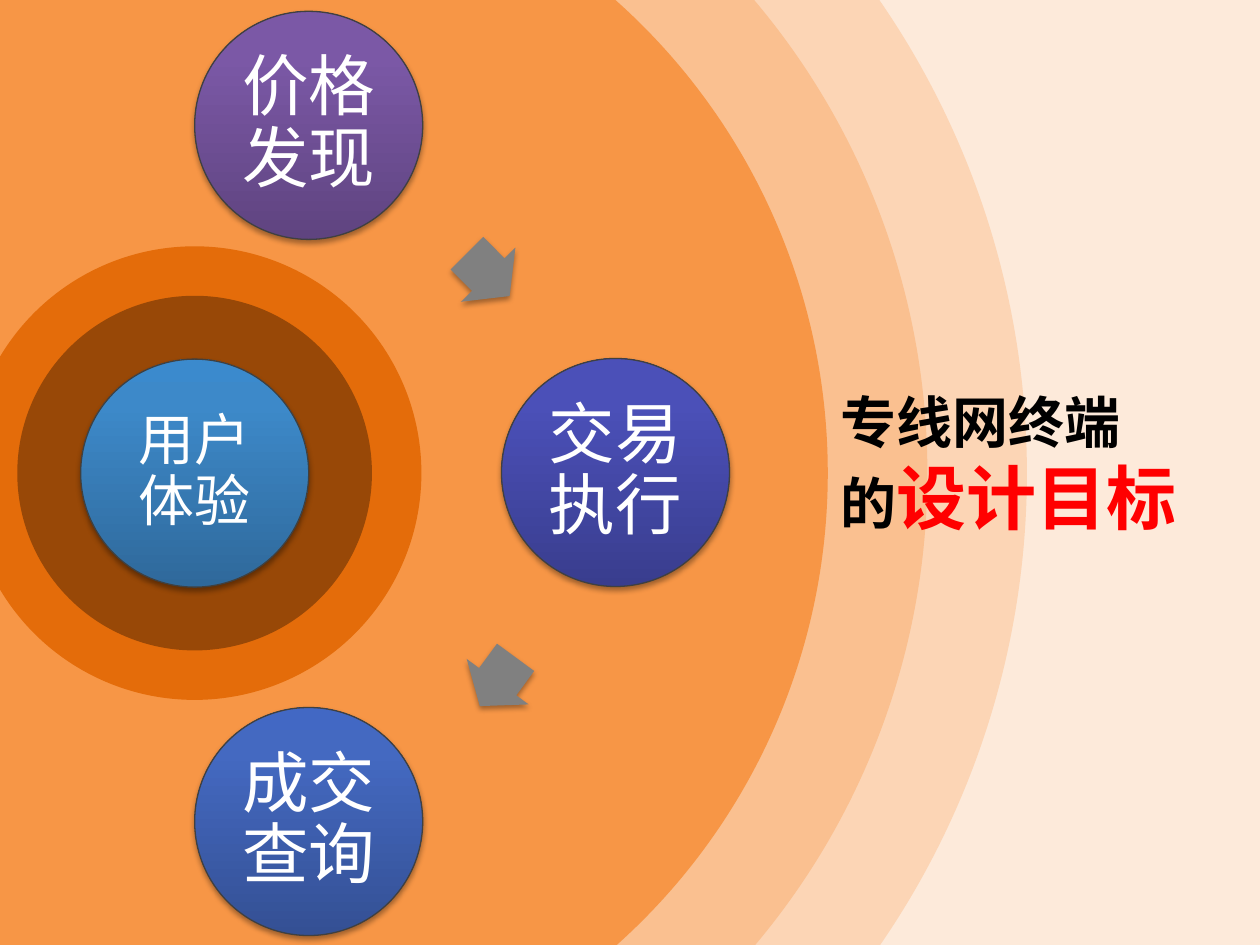
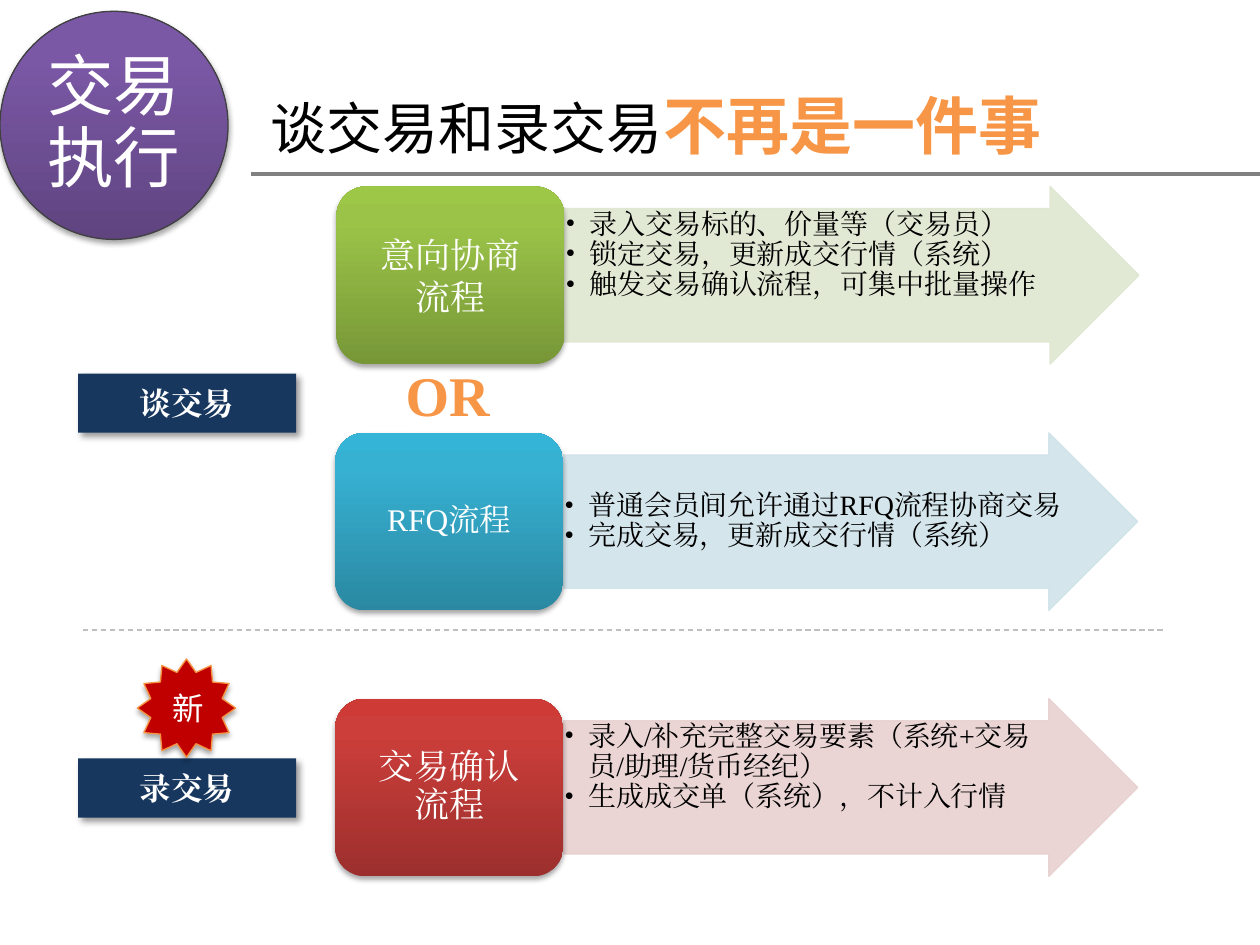
"""Build two slides on the design goals of a trading terminal."""
import math
from dataclasses import dataclass
from typing import NamedTuple, Optional, Sequence, Union

from lxml import etree
from pptx import Presentation
from pptx import util as u
from pptx.dml.color import RGBColor
from pptx.enum import dml, shapes, text
from pptx.oxml.ns import qn

COLS, ROWS = 100, 75
BLEED = 2.6
CELL = u.Inches(0.1)
SHAPE = shapes.MSO_SHAPE
CENTER, LEFT = text.PP_ALIGN.CENTER, text.PP_ALIGN.LEFT
MIDDLE, TOP = text.MSO_ANCHOR.MIDDLE, text.MSO_ANCHOR.TOP


@dataclass(frozen=True)
class Theme:
    """Colours, fonts and type sizes of the deck."""
    sans: str = "Noto Sans CJK SC"
    serif: str = "Times New Roman"
    black: str = "000000"
    white: str = "FFFFFF"
    grey: str = "808080"
    pale_grey: str = "BFBFBF"
    outline: str = "404040"
    orange: str = "F79646"
    red: str = "FF0000"
    navy: str = "17375E"
    badge: str = "C00000"
    badge_line: str = "F69240"
    backdrop: str = "FDEADA"
    bands: tuple = ("FCD5B5", "FAC090", "F79646")
    rings: tuple = ("E46C0A", "984807")
    purple: tuple = ("5F4480", "7B58A6", "7C57A8")
    indigo: tuple = ("393D8E", "4B50B8", "494EBB")
    royal: tuple = ("345094", "4469C1", "4268C4")
    blue: tuple = ("2F699B", "3D89C9", "3B8ACD")
    green: tuple = ("779737", "9BC348", "9DC746")
    teal: tuple = ("2A88A2", "37B1D2", "34B4D6")
    crimson: tuple = ("9C2F2D", "CB3E3A", "CE3B37")
    goal: int = 40
    disc: int = 38
    strong: int = 36
    title: int = 32
    step: int = 20
    label: int = 18
    body: int = 16


T = Theme()


class Box(NamedTuple):
    """A place on the grid, in columns and rows."""
    col: float
    row: float
    cols: float
    rows: float

    def emu(self) -> list:
        """Return the four lengths in slide units."""
        return [u.Emu(round(v * CELL)) for v in self]


class Shadow(NamedTuple):
    """An outer shadow: opacity in percent, lengths in points, degrees."""
    opacity: int
    blur: float
    distance: float
    angle: int


class Run(NamedTuple):
    """A stretch of text whose format may differ from its paragraph."""
    text: str
    size: Optional[int] = None
    color: Optional[str] = None
    bold: Optional[bool] = None


class Disc(NamedTuple):
    """A round gradient button centred on a grid point."""
    text: str
    col: float
    row: float
    grad: tuple
    size: int = T.disc


class Process(NamedTuple):
    """A process card with an arrow of bullet points."""
    name: Sequence[str]
    points: Sequence[str]
    col: float
    row: float
    grad: tuple
    tint: str
    size: int = T.step
    spacing: float = 0.9
    anchor: text.MSO_ANCHOR = TOP


SOFT = Shadow(35, 3.1, 1.8, 90)
CAST = Shadow(40, 4, 3, 45)
Line = Union[str, Sequence[Run]]


def rgb(color: str) -> RGBColor:
    """Turn a hex string into a colour."""
    return RGBColor.from_string(color)


def center_box(col: float, row: float, cols: float, rows: float) -> Box:
    """Return the box of a given size around a point."""
    return Box(col - cols / 2, row - rows / 2, cols, rows)


def add_text(sp, lines: Sequence[Line], *, size: int, color: str = T.white,
             font: str = T.sans, bold: bool = False, align=CENTER, anchor=MIDDLE,
             inset: tuple = (1, 0.5), spacing: Optional[float] = None,
             bullet: str = "", wrap: bool = True) -> None:
    """Write formatted paragraphs into a shape."""
    tf = sp.text_frame
    tf.auto_size, tf.word_wrap, tf.vertical_anchor = text.MSO_AUTO_SIZE.NONE, wrap, anchor
    tf.margin_left = tf.margin_right = u.Emu(round(inset[0] * CELL))
    tf.margin_top = tf.margin_bottom = u.Emu(round(inset[1] * CELL))
    for i, line in enumerate(lines):
        p = tf.paragraphs[0] if i == 0 else tf.add_paragraph()
        p.alignment = align
        if spacing:
            p.line_spacing = spacing
        if bullet:
            ppr = p._p.get_or_add_pPr()
            indent = u.Inches(0.19)
            ppr.set("marL", str(indent))
            ppr.set("indent", str(-indent))
            etree.SubElement(ppr, qn("a:buFont"), typeface=font)
            etree.SubElement(ppr, qn("a:buChar"), char=bullet)
        for run in [Run(line)] if isinstance(line, str) else line:
            r = p.add_run()
            r.text = run.text
            r.font.size = u.Pt(run.size or size)
            r.font.bold = bold if run.bold is None else run.bold
            r.font.color.rgb = rgb(run.color or color)
            r.font.name = font
            etree.SubElement(r._r.get_or_add_rPr(), qn("a:ea"), typeface=font)


def style(sp, fill: Union[str, tuple], line: str = "",
          shadow: Optional[Shadow] = None, opacity: int = 100) -> None:
    """Set the fill, outline and shadow of a shape."""
    if isinstance(fill, str):
        sp.fill.solid()
        sp.fill.fore_color.rgb = rgb(fill)
    else:
        sp.fill.gradient()
        sp.fill.gradient_angle = 90
        stops = sp.element.spPr.find(qn("a:gradFill")).find(qn("a:gsLst"))
        stops[:] = []
        for pos, color in zip((0, 80, 100), fill):
            gs = etree.SubElement(stops, qn("a:gs"), pos=str(pos * 1000))
            etree.SubElement(gs, qn("a:srgbClr"), val=color)
    if line:
        sp.line.color.rgb = rgb(line)
        sp.line.width = u.Pt(0.75)
    else:
        sp.line.fill.background()
    if opacity < 100:
        for clr in sp.element.spPr.iter(qn("a:srgbClr")):
            etree.SubElement(clr, qn("a:alpha"), val=str(opacity * 1000))
    sp.shadow.inherit = False
    if shadow:
        effects = sp.element.spPr.find(qn("a:effectLst"))
        outer = etree.SubElement(
            effects, qn("a:outerShdw"), blurRad=str(u.Pt(shadow.blur)),
            dist=str(u.Pt(shadow.distance)), dir=str(shadow.angle * 60000), rotWithShape="0")
        clr = etree.SubElement(outer, qn("a:srgbClr"), val=T.black)
        etree.SubElement(clr, qn("a:alpha"), val=str(shadow.opacity * 1000))


def add_shape(s, kind, box: Box, fill: Union[str, tuple], adj: Sequence[float] = (),
              rotation: float = 0, **look):
    """Add a styled preset shape."""
    sp = s.shapes.add_shape(kind, *box.emu())
    for i, value in enumerate(adj):
        sp.adjustments[i] = value
    sp.rotation = rotation
    style(sp, fill, **look)
    return sp


def add_textbox(s, box: Box, lines: Sequence[Line], **fmt) -> None:
    """Add a text box."""
    add_text(s.shapes.add_textbox(*box.emu()), lines, **fmt)


def add_title(s, box: Box, lines: Sequence[Line], **fmt) -> None:
    """Fill the title placeholder and bring it to the front."""
    sp = s.shapes.title
    sp.left, sp.top, sp.width, sp.height = box.emu()
    add_text(sp, lines, size=T.title, color=T.black, align=LEFT, anchor=TOP, **fmt)
    sp.element.getparent().append(sp.element)


def add_rule(s, start: float, end: float, row: float, color: str, width: float,
             dash: Optional[dml.MSO_LINE] = None) -> None:
    """Draw a horizontal line between two columns."""
    x1, y, x2, _ = Box(start, row, end, 0).emu()
    sp = s.shapes.add_connector(shapes.MSO_CONNECTOR.STRAIGHT, x1, y, x2, y)
    sp.line.color.rgb, sp.line.width = rgb(color), u.Pt(width)
    if dash:
        sp.line.dash_style = dash
    etree.SubElement(sp.element.spPr, qn("a:effectLst"))


def curve_points(col: float, row: float, radius: float, start: float, end: float) -> list:
    """Return two control points and the end point of a circular arc."""
    k = 4 / 3 * math.tan((end - start) / 4)

    def at(angle: float, pull: float) -> tuple:
        """Return a point on the circle, moved along its tangent."""
        return (col + radius * (math.cos(angle) - pull * math.sin(angle)),
                row + radius * (math.sin(angle) + pull * math.cos(angle)))
    return [at(start, k), at(end, -k), at(end, 0)]


def add_band(s, col: float, row: float, radius: float, fill: str) -> None:
    """Draw the part of a large circle that lies on the slide."""
    first, last = (math.asin((edge - row) / radius) for edge in (0, ROWS))
    points = [(col + radius * math.cos(first), 0),
              *curve_points(col, row, radius, first, 0),
              *curve_points(col, row, radius, 0, last), (-BLEED, ROWS)]
    fb = s.shapes.build_freeform(round(-BLEED * CELL), 0)
    fb.add_line_segments([(round(x * CELL), round(y * CELL)) for x, y in points])
    sp = fb.convert_to_shape()
    segments = list(sp.element.spPr.iter(qn("a:lnTo")))
    for i in (1, 4):
        curve = etree.Element(qn("a:cubicBezTo"))
        segments[i].addprevious(curve)
        for segment in segments[i:i + 3]:
            curve.append(segment[0])
            segment.getparent().remove(segment)
    style(sp, fill)


def add_disc(s, disc: Disc) -> None:
    """Draw a round button with its label."""
    sp = add_shape(s, SHAPE.OVAL, center_box(disc.col, disc.row, 18.1, 18.1), disc.grad,
                   line=T.outline, shadow=SOFT)
    add_text(sp, [disc.text], size=disc.size, inset=(0.5, 0.5), spacing=0.9)


def add_process(s, pr: Process) -> None:
    """Draw a process card and its arrow of points."""
    width, height = 18.1, 14.1
    tail = pr.col + width
    add_shape(s, SHAPE.RIGHT_ARROW, Box(tail, pr.row, 45.6, height), pr.tint,
              adj=(0.75, 0.5), line=pr.tint, opacity=90)
    add_textbox(s, Box(tail, pr.row + height / 8, 40.4, height * 0.75), pr.points,
                size=T.body, color=T.black, font=T.serif, align=LEFT, anchor=pr.anchor,
                inset=(0.1, 0.1), spacing=0.9, bullet="•")
    card = add_shape(s, SHAPE.ROUNDED_RECTANGLE, Box(pr.col, pr.row, width, height), pr.grad,
                     shadow=SOFT)
    add_text(card, pr.name, size=pr.size, font=T.serif, inset=(0.8, 0.4), spacing=pr.spacing)


def build_goals(s) -> None:
    """Build the slide of design goals."""
    col, row = 15.45, 37.55
    add_shape(s, SHAPE.RECTANGLE, Box(-BLEED, 0, COLS + BLEED, ROWS), T.backdrop)
    for i, fill in enumerate(T.bands):
        add_band(s, col, row, 66.05 - 7.9 * i, fill)
    for size, fill in zip((36, 28.15), T.rings):
        add_shape(s, SHAPE.OVAL, center_box(col, row, size, size), fill)
    for disc in (Disc("价格发现", 24.5, 9.95, T.purple),
                 Disc("交易执行", 48.85, 37.5, T.indigo),
                 Disc("成交查询", 24.5, 65.2, T.royal),
                 Disc("用户体验", col, row, T.blue, T.title)):
        add_disc(s, disc)
    for x, y, angle in ((38.75, 21.8, 45.1), (39.5, 54.1, 126.3)):
        add_shape(s, SHAPE.RIGHT_ARROW, center_box(x, y, 4.8, 6.1), T.grey,
                  adj=(0.6, 0.5), rotation=angle, shadow=SOFT)
    add_title(s, Box(65.7, 30.25, 34.3, 13.1),
              ["专线网终端", [Run("的"), Run("设计目标", T.goal, T.red)]], bold=True)


def build_execution(s) -> None:
    """Build the slide on trade execution."""
    add_disc(s, Disc("交易执行", 9.05, 9.95, T.purple))
    add_title(s, Box(20.5, 6.35, 79.1, 7.1),
              [[Run("谈交易和录交易"), Run("不再是一件事", T.strong, T.orange, True)]])
    add_rule(s, COLS, 19.9, 13.8, T.grey, 2)
    add_rule(s, 6.6, 92.5, 50, T.pale_grey, 0.75, dml.MSO_LINE.DASH)
    for label, row in (("谈交易", 29.65), ("录交易", 60.2)):
        sp = add_shape(s, SHAPE.RECTANGLE, Box(6.2, row, 17.3, 4.7), T.navy, shadow=CAST)
        add_text(sp, [label], size=T.label, font=T.serif, bold=True)
    star = add_shape(s, SHAPE.STAR_12_POINT, Box(10.9, 52.3, 7.8, 7.8), T.badge,
                     line=T.badge_line, shadow=SOFT)
    add_text(star, ["新"], size=T.label)
    for process in (
            Process(["意向协商", "流程"],
                    ["录入交易标的、价量等（交易员）", "锁定交易，更新成交行情（系统）",
                     "触发交易确认流程，可集中批量操作"],
                    26.7, 14.8, T.green, "DEE7D1", spacing=1.0),
            Process(["交易确认", "流程"],
                    ["录入/补充完整交易要素（系统+交易员/助理/货币经纪）",
                     "生成成交单（系统），不计入行情"],
                    26.6, 55.45, T.crimson, "E8D0D0"),
            Process(["RFQ流程"],
                    ["普通会员间允许通过RFQ流程协商交易", "完成交易，更新成交行情（系统）"],
                    26.6, 34.35, T.teal, "D0E3EA", T.label, anchor=MIDDLE)):
        add_process(s, process)
    add_textbox(s, Box(31.2, 28.1, 8.8, 6.4), ["OR"], size=T.title, color=T.orange,
                font=T.serif, bold=True, align=LEFT, anchor=TOP, wrap=False)


def main() -> None:
    """Build and save the deck."""
    prs = Presentation()
    prs.slide_width, prs.slide_height = COLS * CELL, ROWS * CELL
    for build in (build_goals, build_execution):
        build(prs.slides.add_slide(prs.slide_layouts[5]))
    prs.save("out.pptx")


if __name__ == "__main__":
    main()
